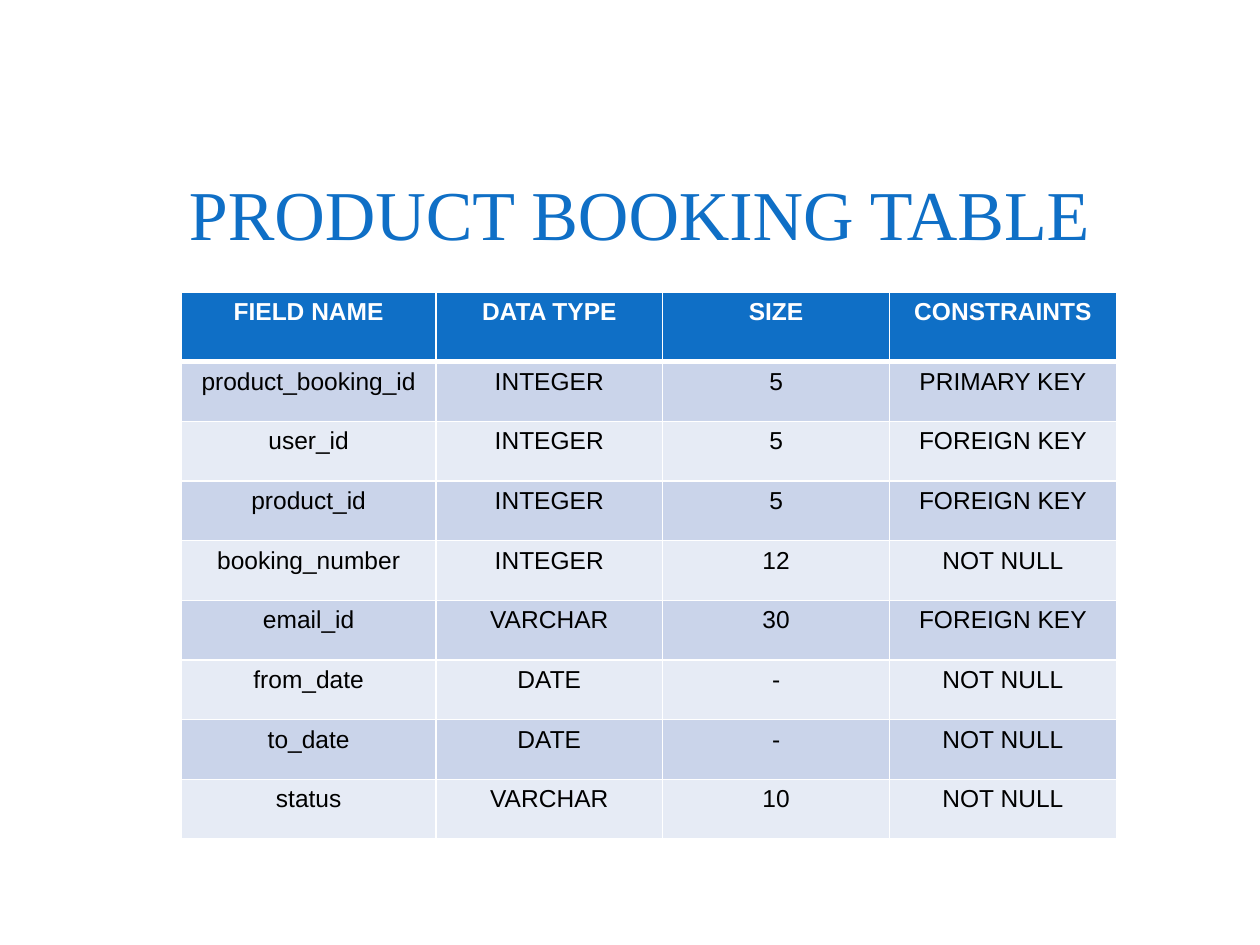
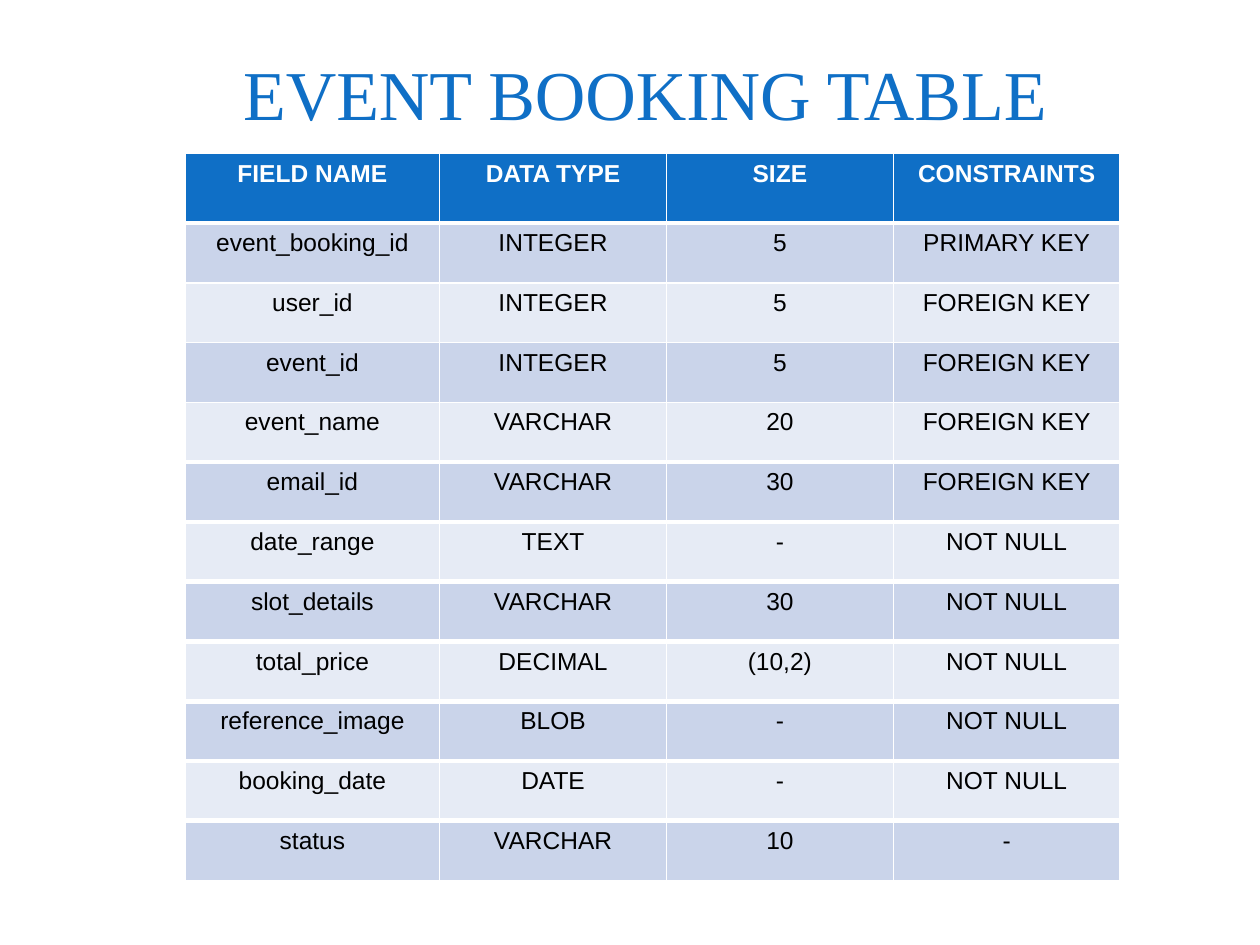
import dataclasses

import pptx
import pptx.dml.color
import pptx.enum.text
import pptx.oxml
import pptx.oxml.ns
import pptx.util

Inches = pptx.util.Inches
Pt = pptx.util.Pt
RGB = pptx.dml.color.RGBColor.from_string
ALIGN = pptx.enum.text.PP_ALIGN
ANCHOR = pptx.enum.text.MSO_ANCHOR


@dataclasses.dataclass(frozen=True)
class Theme:
    accent: str = "0F6FC6"
    bands: tuple = ("CAD4EA", "E6EBF5")
    rule: str = "FFFFFF"
    thin: int = 1
    thick: int = 3
    title: tuple = (("name", "Times New Roman"), ("size", Pt(40)), ("bold", False))
    header: tuple = (("name", "Arial"), ("size", Pt(14)), ("bold", True))
    body: tuple = (("name", "Arial"), ("size", Pt(14)), ("bold", False))
    header_text: str = "FFFFFF"
    body_text: str = "000000"


THEME = Theme()
BLANK = 6
TITLE_W, TITLE_H, TITLE_INDENT = 9, 1.25, 1
COLUMNS = {"FIELD NAME": 2.02, "DATA TYPE": 1.8, "SIZE": 1.8, "CONSTRAINTS": 1.8}
HEADER_H = 0.55

PRODUCT_FIELDS = [
    ("product_booking_id", "INTEGER", "5", "PRIMARY KEY"),
    ("user_id", "INTEGER", "5", "FOREIGN KEY"),
    ("product_id", "INTEGER", "5", "FOREIGN KEY"),
    ("booking_number", "INTEGER", "12", "NOT NULL"),
    ("email_id", "VARCHAR", "30", "FOREIGN KEY"),
    ("from_date", "DATE", "-", "NOT NULL"),
    ("to_date", "DATE", "-", "NOT NULL"),
    ("status", "VARCHAR", "10", "NOT NULL"),
]

EVENT_FIELDS = [
    ("event_booking_id", "INTEGER", "5", "PRIMARY KEY"),
    ("user_id", "INTEGER", "5", "FOREIGN KEY"),
    ("event_id", "INTEGER", "5", "FOREIGN KEY"),
    ("event_name", "VARCHAR", "20", "FOREIGN KEY"),
    ("email_id", "VARCHAR", "30", "FOREIGN KEY"),
    ("date_range", "TEXT", "-", "NOT NULL"),
    ("slot_details", "VARCHAR", "30", "NOT NULL"),
    ("total_price", "DECIMAL", "(10,2)", "NOT NULL"),
    ("reference_image", "BLOB", "-", "NOT NULL"),
    ("booking_date", "DATE", "-", "NOT NULL"),
    ("status", "VARCHAR", "10", "-"),
]


def set_attrs(obj, values):
    for name, value in dict(values).items():
        setattr(obj, name, value)


def write(tf, text, font, color, align):
    p = tf.paragraphs[0]
    p.alignment = align
    r = p.add_run()
    r.text = text
    set_attrs(r.font, font)
    r.font.color.rgb = RGB(color)


def add_title(s, left, top, text):
    sp = s.shapes.add_textbox(Inches(left), Inches(top), Inches(TITLE_W), Inches(TITLE_H))
    tf = sp.text_frame
    set_attrs(tf, {
        "word_wrap": True,
        "vertical_anchor": ANCHOR.BOTTOM,
        "margin_left": Inches(TITLE_INDENT),
        "margin_top": Inches(0.05),
        "margin_right": 0,
        "margin_bottom": 0,
    })
    write(tf, text, THEME.title, THEME.accent, ALIGN.LEFT)


def set_borders(cell, top, bottom):
    tc_pr = cell._tc.get_or_add_tcPr()
    widths = {"L": THEME.thin, "R": THEME.thin, "T": top, "B": bottom}
    for side, width in widths.items():
        tc_pr.append(pptx.oxml.parse_xml(
            f'<a:ln{side} {pptx.oxml.ns.nsdecls("a")} w="{Pt(width)}">'
            f'<a:solidFill><a:srgbClr val="{THEME.rule}"/></a:solidFill></a:ln{side}>'
        ))


def add_field_table(s, left, top, height, fields, thick_rules):
    rows = [tuple(COLUMNS), *fields]
    table = s.shapes.add_table(
        len(rows), len(COLUMNS), Inches(left), Inches(top),
        Inches(sum(COLUMNS.values())), Inches(height),
    ).table
    for column, width in zip(table.columns, COLUMNS.values()):
        column.width = Inches(width)
    row_h = (height - HEADER_H) / len(fields)
    for i, row in enumerate(rows):
        table.rows[i].height = Inches(row_h if i else HEADER_H)
        top_rule, bottom_rule = (
            THEME.thick if edge in thick_rules else THEME.thin for edge in (i, i + 1)
        )
        fill = THEME.bands[(i - 1) % 2] if i else THEME.accent
        font = THEME.body if i else THEME.header
        color = THEME.body_text if i else THEME.header_text
        for j, text in enumerate(row):
            cell = table.cell(i, j)
            set_borders(cell, top_rule, bottom_rule)
            cell.fill.solid()
            cell.fill.fore_color.rgb = RGB(fill)
            write(cell.text_frame, text, font, color, ALIGN.CENTER)


def main():
    prs = pptx.Presentation()
    set_attrs(prs, {"slide_width": Inches(10), "slide_height": Inches(7.5)})

    s = prs.slides.add_slide(prs.slide_layouts[BLANK])
    add_title(s, 0.5, 0.77, "PRODUCT BOOKING TABLE")
    add_field_table(s, 1.44, 2.32, 4.34, PRODUCT_FIELDS, {1})

    s = prs.slides.add_slide(prs.slide_layouts[BLANK])
    add_title(s, 0.93, -0.18, "EVENT BOOKING TABLE")
    add_field_table(s, 1.47, 1.22, 5.77, EVENT_FIELDS, {1, *range(5, 12)})

    prs.save("out.pptx")


if __name__ == "__main__":
    main()
